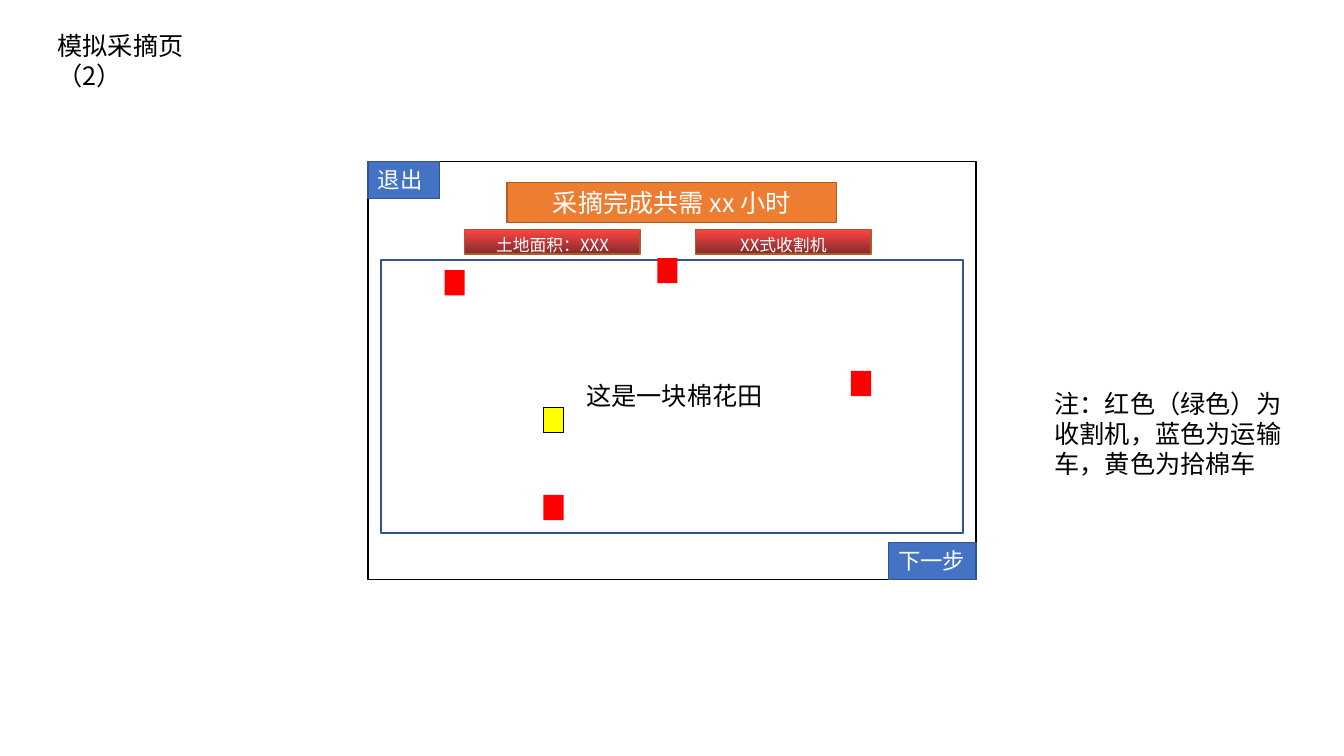
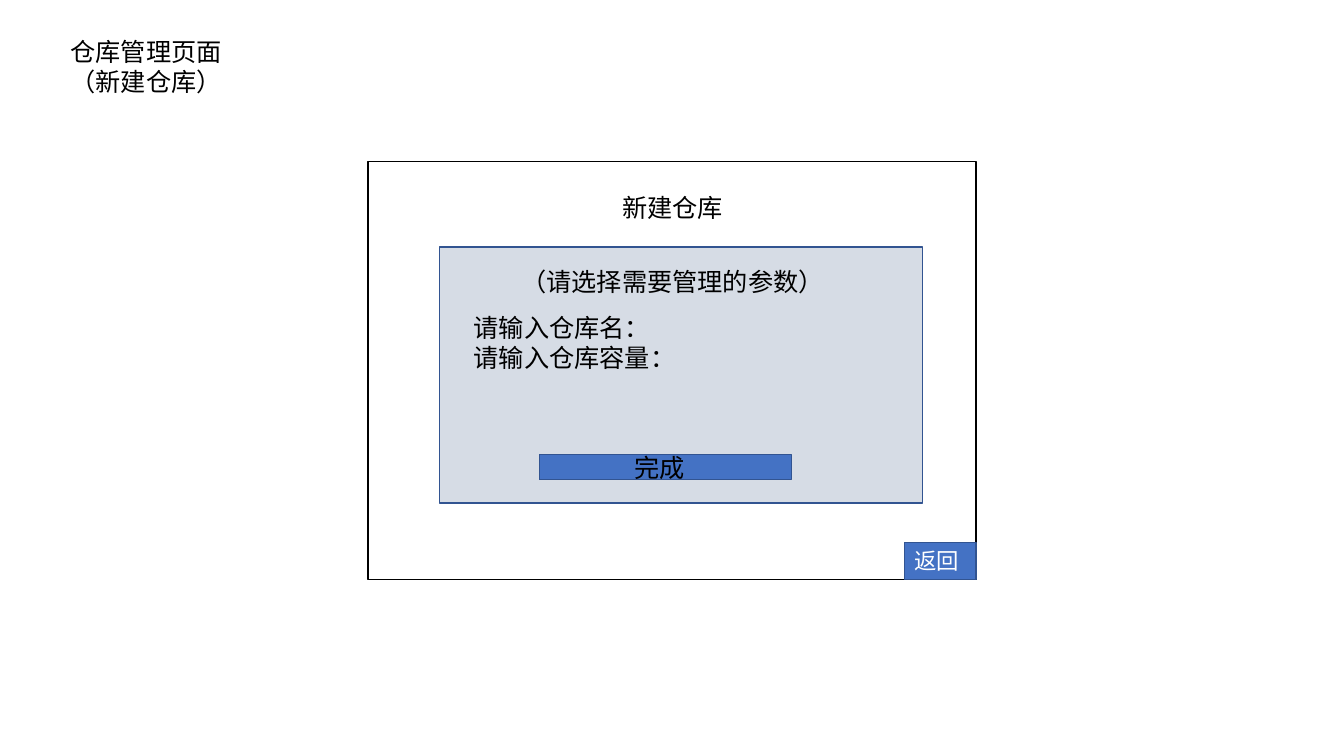
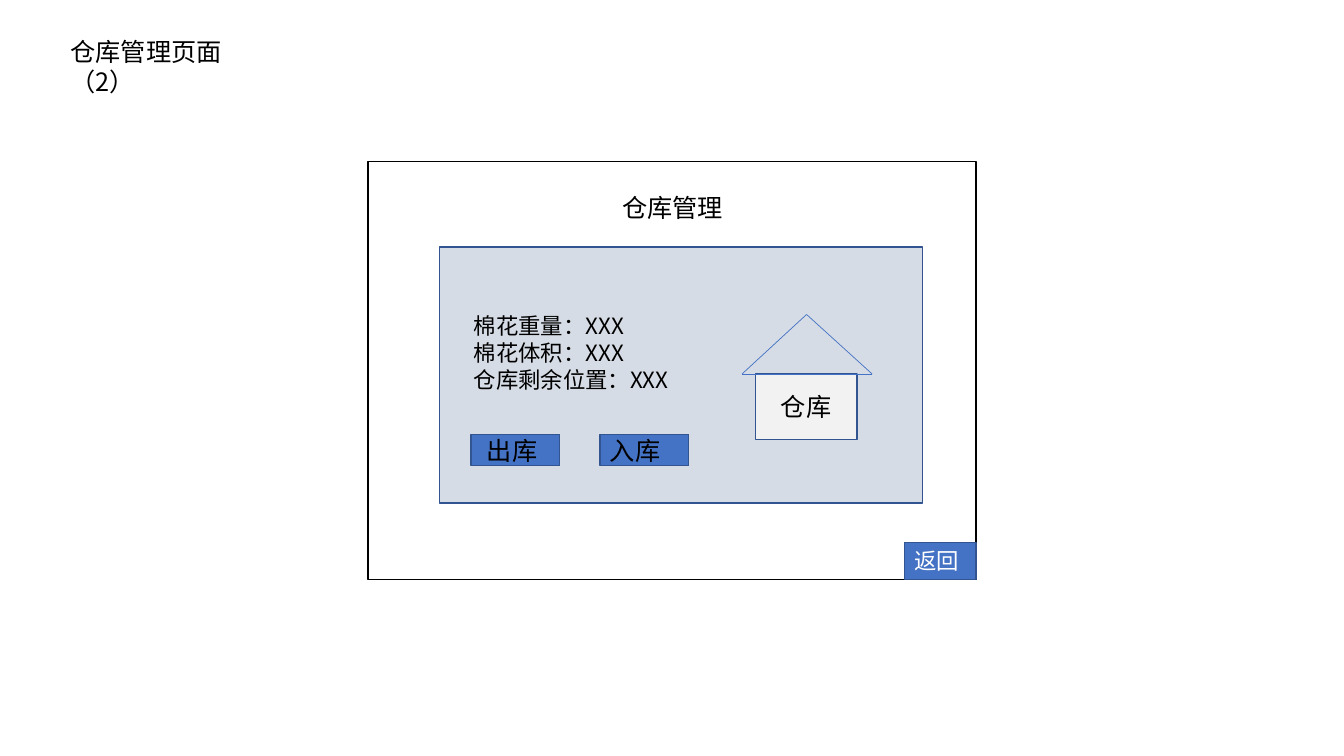
from itertools import pairwise

from lxml import etree
from pptx import Presentation
from pptx.dml.color import RGBColor
from pptx.enum.shapes import MSO_CONNECTOR, MSO_SHAPE
from pptx.enum.text import MSO_ANCHOR, MSO_AUTO_SIZE, PP_ALIGN
from pptx.oxml.ns import qn
from pptx.util import Inches, Pt

BLACK = RGBColor(0x00, 0x00, 0x00)
WHITE = RGBColor(0xFF, 0xFF, 0xFF)
BLUE = RGBColor(0x44, 0x72, 0xC4)
DARK_BLUE = RGBColor(0x32, 0x54, 0x91)
PALE_BLUE = RGBColor(0xD6, 0xDC, 0xE5)
ORANGE = RGBColor(0xED, 0x7D, 0x31)
BROWN = RGBColor(0xAF, 0x5C, 0x24)
LIGHT_RED = RGBColor(0xFE, 0x44, 0x44)
DARK_RED = RGBColor(0x83, 0x2B, 0x2B)
RED = RGBColor(0xFF, 0x00, 0x00)
YELLOW = RGBColor(0xFF, 0xFF, 0x00)
PALE_GRAY = RGBColor(0xF2, 0xF2, 0xF2)

FONT = "Noto Sans CJK SC"
LEFT, CENTER = PP_ALIGN.LEFT, PP_ALIGN.CENTER
TOP, MIDDLE = MSO_ANCHOR.TOP, MSO_ANCHOR.MIDDLE
NO_FIT = MSO_AUTO_SIZE.NONE
RECTANGLE, PROCESS = MSO_SHAPE.RECTANGLE, MSO_SHAPE.FLOWCHART_PROCESS
STRAIGHT = MSO_CONNECTOR.STRAIGHT
TITLE_ONLY = 5

FRAME = (3.65, 1.6, 6.03, 4.15)
BUTTON_HEIGHT = 0.37


def write(shape, text, size=18, color=BLACK, align=LEFT, anchor=TOP, inset=0.1, right=0.1):
    """Write each line of text as a formatted paragraph of the shape."""
    frame = shape.text_frame
    frame.text = text
    frame.word_wrap = True
    frame.auto_size = NO_FIT
    frame.vertical_anchor = anchor
    frame.margin_left, frame.margin_right = Inches(inset), Inches(right)
    frame.margin_top = frame.margin_bottom = Inches(0.05)
    for para in frame.paragraphs:
        para.alignment = align
        para.line_spacing = 1.0
        para.space_before = Pt(0)
        for span in para.runs:
            span.font.name = FONT
            span.font.size = Pt(size)
            span.font.color.rgb = color
            east_asian = etree.SubElement(span.font._element, qn("a:ea"))
            east_asian.set("typeface", FONT)


def add_text(page, box, text, **style):
    """Add a text box."""
    write(page.shapes.add_textbox(*map(Inches, box)), text, **style)


def add_block(page, box, fill=None, line=None, kind=RECTANGLE):
    """Add a flat shape with optional fill and outline."""
    block = page.shapes.add_shape(kind, *map(Inches, box))
    block.shadow.inherit = False
    if fill is None:
        block.fill.background()
    else:
        block.fill.solid()
        block.fill.fore_color.rgb = fill
    if line is None:
        block.line.fill.background()
    else:
        block.line.color.rgb = line
        block.line.width = Pt(1)
    return block


def add_button(page, box, text):
    """Add a blue navigation button."""
    button = add_block(page, box, BLUE, DARK_BLUE)
    write(button, text, size=16, color=WHITE, anchor=MIDDLE, right=0)


def add_action(page, box, text, inset):
    """Add a blue action bar with a dark label."""
    action = add_block(page, box, BLUE, DARK_BLUE, PROCESS)
    write(action, text, anchor=MIDDLE, inset=inset, right=0)


def add_tag(page, box, text):
    """Add a red gradient tag."""
    tag = add_block(page, box, RED, BROWN)
    tag.fill.gradient()
    tag.fill.gradient_angle = 270
    for stop, color in zip(tag.fill.gradient_stops, (LIGHT_RED, DARK_RED)):
        stop.color.rgb = color
    write(tag, text, size=12, color=WHITE, align=CENTER)


def add_page(deck, title, box):
    """Add a page with its title and the outlined screen."""
    page = deck.slides.add_slide(deck.slide_layouts[TITLE_ONLY])
    heading = page.shapes.title
    heading.left, heading.top, heading.width, heading.height = map(Inches, box)
    write(heading, title)
    add_block(page, FRAME, line=BLACK)
    return page


def add_corner_button(page, text, width):
    """Add a button in the lower right corner of the screen."""
    left, top, frame_width, frame_height = FRAME
    box = (left + frame_width - width, top + frame_height - BUTTON_HEIGHT, width, BUTTON_HEIGHT)
    add_button(page, box, text)


def add_field(page, left, top):
    """Add the cotton field with its machines."""
    add_block(page, (left, top, 5.77, 2.71), line=DARK_BLUE)
    for x, y in ((0.63, 0.1), (1.61, 2.33), (2.74, -0.02), (4.66, 1.1)):
        add_block(page, (left + x, top + y, 0.2, 0.25), RED)
    add_block(page, (left + 1.61, top + 1.46, 0.2, 0.25), YELLOW, BLACK)
    add_text(page, (left + 1.31, top + 1.14, 3.2, 0.4), "这是一块棉花田", align=CENTER)


def add_warehouse(page, left, top):
    """Add a house made of a labelled wall and a roof of three lines."""
    wall = add_block(page, (left + 0.13, top + 0.59, 1.01, 0.65), PALE_GRAY, DARK_BLUE, PROCESS)
    write(wall, "仓库", align=CENTER, anchor=MIDDLE)
    eaves_left, eaves_right, apex = (0, 0.59), (1.29, 0.59), (0.64, 0)
    for start, end in pairwise((eaves_left, eaves_right, apex, eaves_left)):
        ends = (left + start[0], top + start[1], left + end[0], top + end[1])
        edge = page.shapes.add_connector(STRAIGHT, *map(Inches, ends))
        edge.line.color.rgb = BLUE
        edge.line.width = Pt(0.5)
        etree.SubElement(edge._element.spPr, qn("a:effectLst"))


def add_panel(page, left, top, heading, lines, size):
    """Add the heading, the pale panel and its lines of text."""
    add_text(page, (left, top - 0.59, 4.62, 0.4), heading, align=CENTER)
    add_block(page, (left, top, 4.79, 2.54), PALE_BLUE, DARK_BLUE)
    add_text(page, (left + 0.24, top + 0.6, 4.28, 1.7), lines, size=size)
    add_corner_button(page, "返回", 0.71)


def build_picking(deck):
    """Build the simulated picking page."""
    page = add_page(deck, "模拟采摘页（2）", (0.47, 0.25, 1.85, 0.71))
    left, top = FRAME[:2]
    banner = add_block(page, (left + 1.38, top + 0.21, 3.27, 0.4), ORANGE, BROWN)
    write(banner, "采摘完成共需 xx 小时", color=WHITE, align=CENTER, anchor=MIDDLE)
    add_field(page, left + 0.13, top + 0.98)
    add_corner_button(page, "下一步", 0.87)
    add_button(page, (left, top, 0.71, BUTTON_HEIGHT), "退出")
    for column, text in enumerate(("土地面积：XXX", "XX式收割机")):
        add_tag(page, (left + 0.96 + column * 2.29, top + 0.68, 1.74, 0.24), text)
    note = "注：红色（绿色）为收割机，蓝色为运输车，黄色为拾棉车"
    add_text(page, (10.36, 3.8, 2.63, 1.01), note)


def build_new_warehouse(deck, left, top):
    """Build the page for creating a warehouse."""
    page = add_page(deck, "仓库管理页面（新建仓库）", (0.6, 0.31, 2.13, 0.71))
    add_panel(page, left, top, "新建仓库", "请输入仓库名：\n请输入仓库容量：", 18)
    add_text(page, (left + 0.58, top + 0.14, 3.46, 0.47), "（请选择需要管理的参数）", align=CENTER)
    add_action(page, (left + 0.99, top + 2.06, 2.5, 0.25), "完成", 0.94)


def build_warehouse(deck, left, top):
    """Build the page for managing a warehouse."""
    page = add_page(deck, "仓库管理页面（2）", (0.6, 0.31, 2.13, 0.71))
    lines = "棉花重量：XXX\n棉花体积：XXX\n仓库剩余位置：XXX"
    add_panel(page, left, top, "仓库管理", lines, 16)
    add_warehouse(page, left + 3, top + 0.67)
    for column, (text, inset) in enumerate((("出库", 0.16), ("入库", 0.1))):
        add_action(page, (left + 0.31 + column * 1.28, top + 1.86, 0.88, 0.31), text, inset)


def main():
    """Build and save the deck."""
    deck = Presentation()
    deck.slide_width, deck.slide_height = Inches(13.33), Inches(7.5)
    build_picking(deck)
    for build in (build_new_warehouse, build_warehouse):
        build(deck, FRAME[0] + 0.71, FRAME[1] + 0.85)
    deck.save("out.pptx")


if __name__ == "__main__":
    main()
